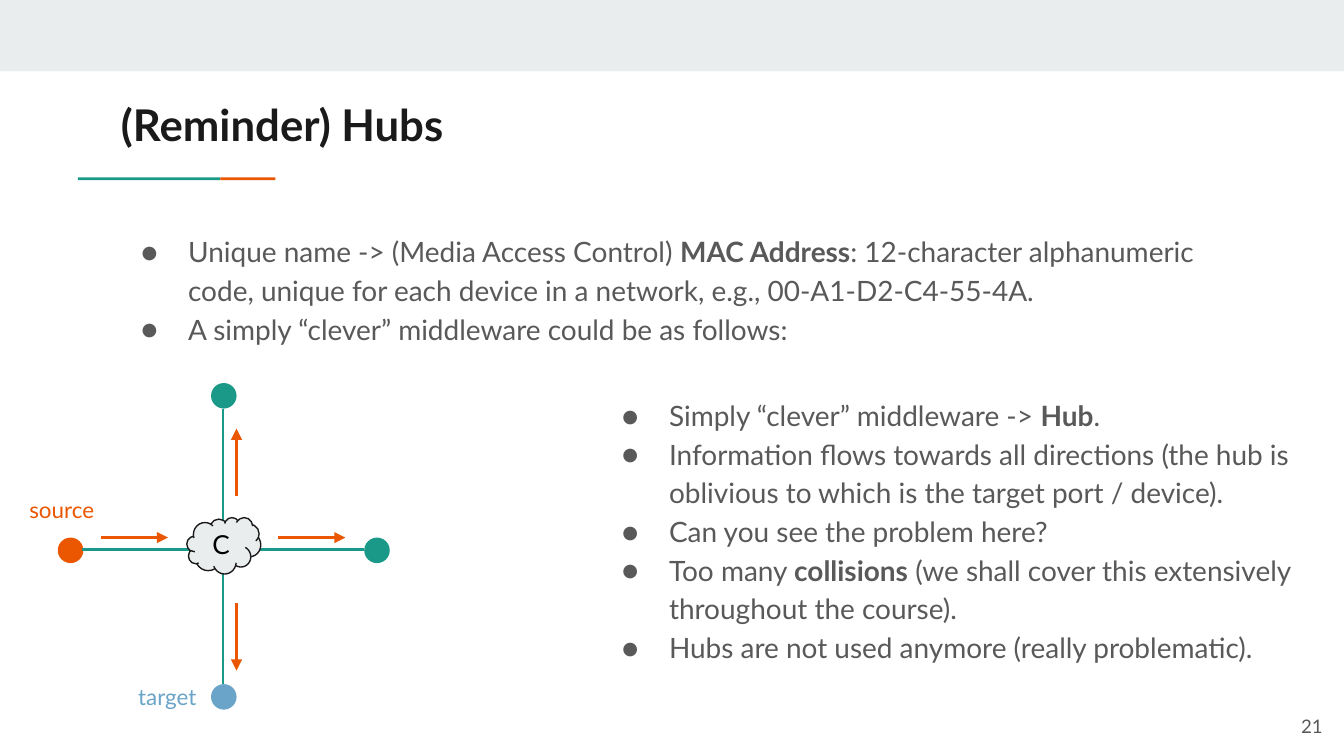
"""Build the slide that recalls how a network hub works."""
from typing import NamedTuple

from lxml.etree import SubElement
from pptx import Presentation
from pptx.dml.color import RGBColor
from pptx.enum.shapes import MSO_CONNECTOR as Connector, MSO_SHAPE as Preset
from pptx.enum.text import MSO_ANCHOR as Anchor, MSO_AUTO_SIZE as AutoSize, PP_ALIGN as Align
from pptx.oxml.ns import qn
from pptx.util import Inches, Pt

FONT = "Lato"
TEAL = RGBColor(0x1A, 0x99, 0x88)
ORANGE = RGBColor(0xEB, 0x56, 0x00)
BLUE = RGBColor(0x6A, 0xA4, 0xC8)
PALE = RGBColor(0xE9, 0xED, 0xEE)
DARK = RGBColor(0x1A, 0x1A, 0x1A)
GREY = RGBColor(0x59, 0x59, 0x59)
BLACK = RGBColor(0, 0, 0)
SLIDE_WIDTH = Inches(10)
SLIDE_HEIGHT = SLIDE_WIDTH * 9 // 16
NODE_SIZE = 0.19


class Box(NamedTuple):
    left: float
    top: float
    width: float
    height: float


class Node(NamedTuple):
    left: float
    top: float
    color: RGBColor


class Line(NamedTuple):
    begin: tuple[float, float]
    end: tuple[float, float]
    color: RGBColor
    arrow: bool = False


class Label(NamedTuple):
    text: str
    box: Box
    size: float
    color: RGBColor
    align: Align = Align.LEFT
    anchor: Anchor = Anchor.TOP


BARS = [
    (Box(0, 0, 10, 0.53), PALE),
    (Box(0.58, 1.32, 1.06, 0.02), TEAL),
    (Box(1.64, 1.32, 0.41, 0.02), ORANGE),
]
NODES = [
    Node(0.43, 4, ORANGE),
    Node(1.57, 2.85, TEAL),
    Node(2.71, 4, TEAL),
    Node(1.57, 5.09, BLUE),
]
LINKS = [
    Line((0.61, 4.09), (2.71, 4.09), TEAL),
    Line((1.66, 3.04), (1.66, 5.09), TEAL),
]
FLOWS = [
    Line((0.75, 4), (1.25, 4), ORANGE, True),
    Line((2.07, 4), (2.57, 4), ORANGE, True),
    Line((1.76, 4.49), (1.76, 4.99), ORANGE, True),
    Line((1.76, 3.69), (1.76, 3.19), ORANGE, True),
]
LABELS = [
    Label("source", Box(0.12, 3.59, 0.8, 0.4), 12, ORANGE),
    Label("target", Box(0.93, 4.98, 0.8, 0.4), 12, BLUE),
    Label("21", Box(9.34, 5.19, 0.6, 0.43), 10, GREY, Align.RIGHT, Anchor.MIDDLE),
]
INTRODUCTION = [
    "Unique name -> (Media Access Control) **MAC Address**: 12-character alphanumeric "
    "code, unique for each device in a network, e.g., 00-A1-D2-C4-55-4A.",
    "A simply “clever” middleware could be as follows:",
]
HUB_POINTS = [
    "Simply “clever” middleware -> **Hub**.",
    "Information flows towards all directions (the hub is oblivious to which is "
    "the target port / device).",
    "Can you see the problem here?",
    "Too many **collisions** (we shall cover this extensively throughout the course).",
    "Hubs are not used anymore (really problematic).",
]


def lengths(box: Box) -> list[Inches]:
    return [Inches(value) for value in box]


def place(shape, box: Box) -> None:
    shape.left, shape.top, shape.width, shape.height = lengths(box)


def style_run(run, size: float, color: RGBColor, bold: bool = False) -> None:
    run.font.name = FONT
    run.font.size = Pt(size)
    run.font.bold = bold
    run.font.color.rgb = color


def set_frame(text_frame, anchor: Anchor = Anchor.TOP) -> None:
    text_frame.word_wrap = True
    text_frame.auto_size = AutoSize.NONE
    text_frame.vertical_anchor = anchor
    text_frame.margin_left = text_frame.margin_right = Inches(0.1)
    text_frame.margin_top = text_frame.margin_bottom = Inches(0.1)


def write(shape, label: Label, bold: bool = False) -> None:
    set_frame(shape.text_frame, label.anchor)
    shape.text_frame.text = label.text
    paragraph = shape.text_frame.paragraphs[0]
    paragraph.alignment = label.align
    style_run(paragraph.runs[0], label.size, label.color, bold)


def add_bullet(paragraph) -> None:
    properties = paragraph._p.get_or_add_pPr()
    properties.set("marL", str(Inches(0.5)))
    properties.set("indent", str(Inches(-0.35)))
    color = SubElement(properties, qn("a:buClr"))
    SubElement(color, qn("a:srgbClr"), val=str(GREY))
    SubElement(properties, qn("a:buFont"), typeface=FONT)
    SubElement(properties, qn("a:buChar"), char="●")


def write_list(shape, items: list[str]) -> None:
    text_frame = shape.text_frame
    set_frame(text_frame)
    for index, item in enumerate(items):
        paragraph = text_frame.add_paragraph() if index else text_frame.paragraphs[0]
        paragraph.line_spacing = 1.15
        paragraph.space_before = Pt(0)
        add_bullet(paragraph)
        for position, part in enumerate(item.split("**")):
            run = paragraph.add_run()
            run.text = part
            style_run(run, 15, GREY, bold=position % 2 == 1)


def add_filled(slide, preset: Preset, box: Box, color: RGBColor):
    shape = slide.shapes.add_shape(preset, *lengths(box))
    shape.shadow.inherit = False
    shape.fill.solid()
    shape.fill.fore_color.rgb = color
    shape.line.fill.background()
    return shape


def add_line(slide, line: Line) -> None:
    points = [Inches(value) for value in line.begin + line.end]
    connector = slide.shapes.add_connector(Connector.STRAIGHT, *points)
    connector.line.color.rgb = line.color
    connector.line.width = Pt(1.5)
    if line.arrow:
        SubElement(connector.line._get_or_add_ln(), qn("a:tailEnd"), type="triangle")
    SubElement(connector._element.spPr, qn("a:effectLst"))


def main() -> None:
    presentation = Presentation()
    presentation.slide_width, presentation.slide_height = SLIDE_WIDTH, SLIDE_HEIGHT
    slide = presentation.slides.add_slide(presentation.slide_layouts[1])

    for box, color in BARS:
        add_filled(slide, Preset.RECTANGLE, box, color)

    title = Label("(Reminder) Hubs", Box(0.8, 0.63, 8.41, 0.59), 23.4, DARK)
    place(slide.shapes.title, title.box)
    write(slide.shapes.title, title, bold=True)
    body = slide.placeholders[1]
    place(body, Box(0.8, 1.61, 8.41, 1))
    write_list(body, INTRODUCTION)

    for node in NODES:
        box = Box(node.left, node.top, NODE_SIZE, NODE_SIZE)
        add_filled(slide, Preset.OVAL, box, node.color)
    for link in LINKS:
        add_line(slide, link)

    hub = Label("C", Box(1.39, 3.85, 0.55, 0.42), 14, BLACK, Align.CENTER, Anchor.MIDDLE)
    cloud = add_filled(slide, Preset.CLOUD, hub.box, PALE)
    cloud.line.color.rgb = DARK
    cloud.line.width = Pt(0.75)
    write(cloud, hub)

    for flow in FLOWS:
        add_line(slide, flow)
    for label in LABELS:
        write(slide.shapes.add_textbox(*lengths(label.box)), label)
    write_list(slide.shapes.add_textbox(*lengths(Box(4.38, 2.83, 5.64, 2.2))), HUB_POINTS)

    presentation.save("out.pptx")


if __name__ == "__main__":
    main()
